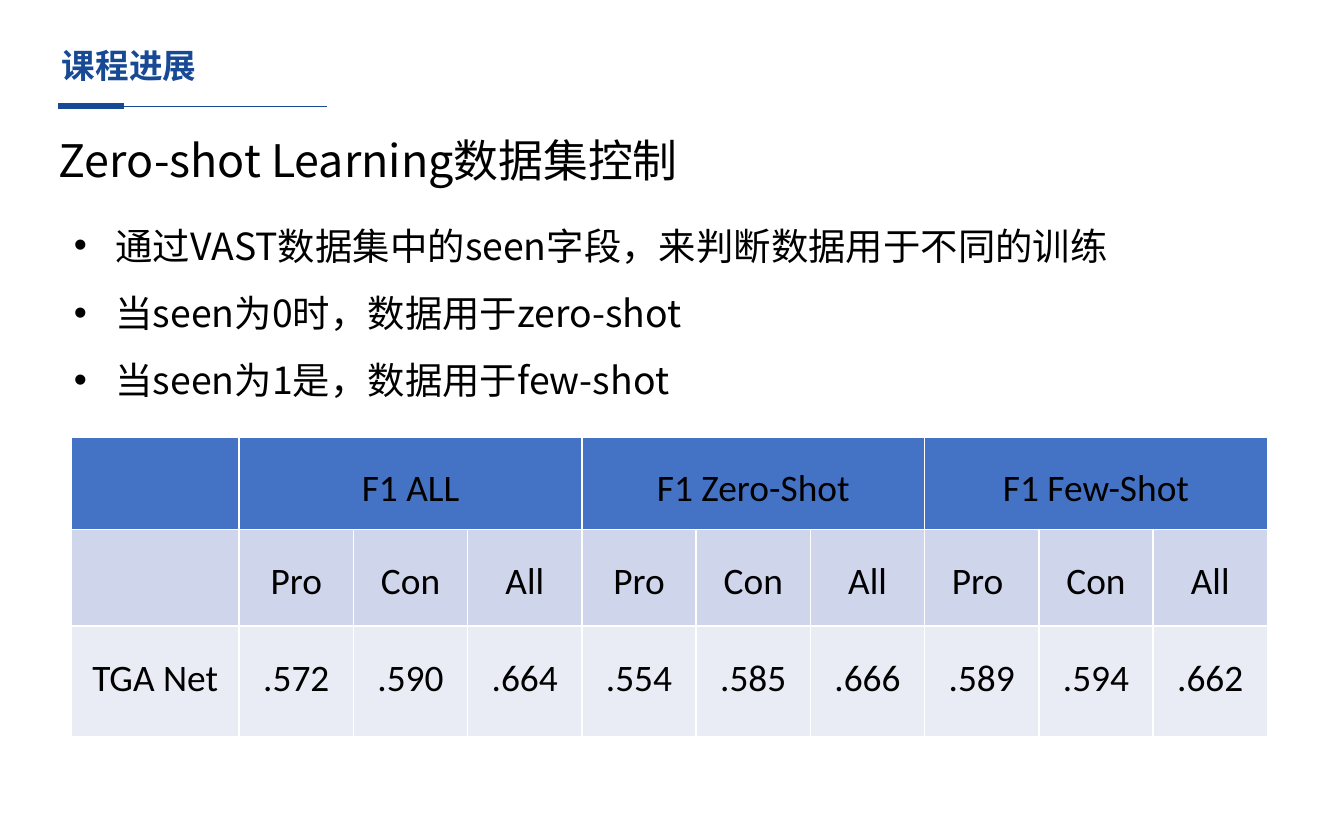
from pptx import Presentation
from pptx.dml.color import RGBColor
from pptx.enum.shapes import MSO_CONNECTOR
from pptx.enum.text import MSO_ANCHOR, MSO_AUTO_SIZE, PP_ALIGN
from pptx.oxml.ns import qn
from pptx.util import Inches, Pt
from lxml import etree

LINE = MSO_CONNECTOR.STRAIGHT
MIDDLE, TOP = MSO_ANCHOR.MIDDLE, MSO_ANCHOR.TOP
FIXED = MSO_AUTO_SIZE.NONE
LEFT, CENTER = PP_ALIGN.LEFT, PP_ALIGN.CENTER
NAVY, BLACK = "174994", "000000"
SANS = "Noto Sans CJK SC"


def style(para, size, face, color, bold=False, align=LEFT, space=1.0):
    """Set the font and the spacing of a paragraph."""
    font = para.font
    font.size, font.name, font.bold = Pt(size), face, bold
    font.color.rgb = RGBColor.from_string(color)
    para.alignment, para.line_spacing = align, space
    para.space_before = Pt(0)


def place(shape, left, top, width, height, anchor):
    """Move a text shape and fix its frame."""
    shape.left, shape.top = Inches(left), Inches(top)
    shape.width, shape.height = Inches(width), Inches(height)
    frame = shape.text_frame
    frame.word_wrap, frame.auto_size = True, FIXED
    frame.vertical_anchor = anchor
    return frame


prs = Presentation()
prs.slide_width, prs.slide_height = Inches(10), Inches(6.25)
slide = prs.slides.add_slide(prs.slide_layouts[1])
shapes = slide.shapes

# Title and its rule
for end, weight in ((2.43, 0.5), (0.92, 3)):
    rule = shapes.add_connector(LINE, Inches(0.43), Inches(0.79),
                                Inches(end), Inches(0.79))
    rule.line.color.rgb = RGBColor.from_string(NAVY)
    rule.line.width = Pt(weight)
    etree.SubElement(rule._element.spPr, qn("a:effectLst"))

frame = place(shapes.title, 0.36, 0.22, 7.43, 0.56, MIDDLE)
frame.text = "课程进展"
style(frame.paragraphs[0], 18, "Arial", NAVY, bold=True, space=0.9)

# Heading and bullets
box = shapes.add_textbox(0, 0, 0, 0)
frame = place(box, 0.34, 0.94, 8.71, 0.5, TOP)
frame.text = "Zero-shot Learning数据集控制"
style(frame.paragraphs[0], 24, SANS, BLACK)

frame = place(slide.placeholders[1], 0.45, 1.44, 9.1, 1.56, TOP)
frame.text = "\n".join((
    "通过VAST数据集中的seen字段，来判断数据用于不同的训练",
    "当seen为0时，数据用于zero-shot",
    "当seen为1是，数据用于few-shot",
))
for para in frame.paragraphs:
    style(para, 20, SANS, BLACK, space=1.5)
    props = para._p.get_or_add_pPr()
    props.set("marL", str(Inches(0.31)))
    props.set("indent", str(-Inches(0.31)))

# Score table
rows = (
    ("", "F1 ALL", "", "", "F1 Zero-Shot", "", "", "F1 Few-Shot", "", ""),
    ("", "Pro", "Con", "All", "Pro", "Con", "All", "Pro ", "Con", "All"),
    ("TGA Net", ".572", ".590", ".664", ".554", ".585", ".666",
     ".589", ".594", ".662"),
)
fills = ("4472C4", "CFD5EA", "E9EBF5")
table = shapes.add_table(3, 10, Inches(0.53), Inches(3.25),
                         Inches(8.87), Inches(2.23)).table
for col in table.columns:
    col.width = Inches(0.85)
table.columns[0].width = Inches(1.25)
for row, height in zip(table.rows, (0.69, 0.72, 0.82)):
    row.height = Inches(height)
for start in (1, 4, 7):
    table.cell(0, start).merge(table.cell(0, start + 2))
for r, (texts, fill) in enumerate(zip(rows, fills)):
    for c, text in enumerate(texts):
        cell = table.cell(r, c)
        cell.fill.solid()
        cell.fill.fore_color.rgb = RGBColor.from_string(fill)
        if text:
            cell.text = text
            style(cell.text_frame.paragraphs[0], 20, "Calibri", BLACK,
                  align=CENTER, space=1.5)

prs.save("out.pptx")
